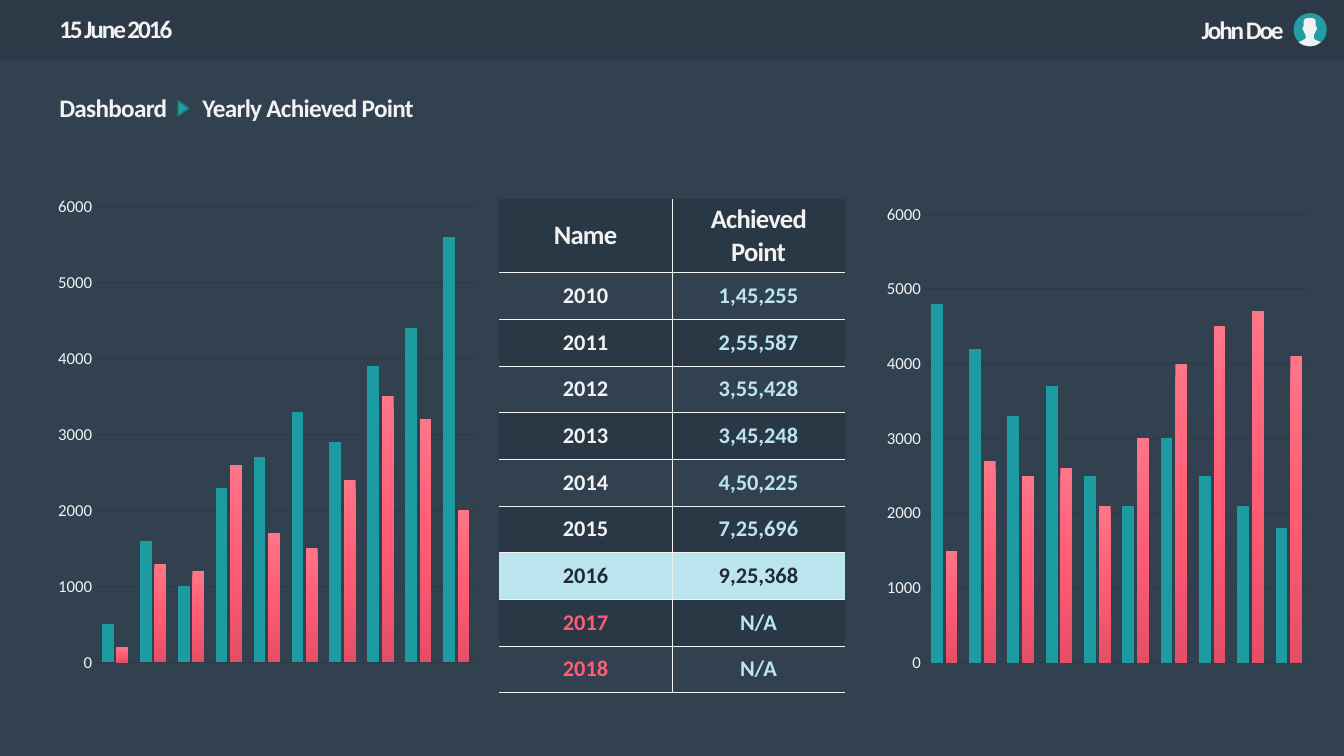
from dataclasses import dataclass
from lxml.etree import SubElement
from pptx import Presentation
from pptx.chart.data import CategoryChartData as ChartData
from pptx.dml.color import RGBColor as RGB
from pptx.enum.chart import XL_CHART_TYPE as Chart, XL_TICK_MARK as Tick
from pptx.enum.shapes import MSO_SHAPE as Shape
from pptx.enum.text import MSO_ANCHOR as Anchor, MSO_AUTO_SIZE as Fit, PP_ALIGN as Align
from pptx.oxml.ns import qn
from pptx.util import Inches, Pt


@dataclass(frozen=True)
class Theme:
    """Colours, font and type sizes of the slide."""
    font: str = "Calibri"
    back: str = "314150"
    band: str = "2C3A47"
    dark: str = "212B35"
    light: str = "F2F2F2"
    pale: str = "BBE6EF"
    teal: str = "239CA3"
    edge: str = "1A7379"
    bar: str = "1C9CA0"
    pink: str = "FF5C75"
    blush: tuple = ((0, "FF7588"), (50, "FF5C75"), (100, "E54F66"))
    title: int = 18
    head: int = 19
    body: int = 16
    axis: int = 12
    small: int = 10
    no_grid: str = "{2D5ABB26-0587-4C30-8999-92F81FD0307C}"


def add_color(parent, color):
    """Add a colour node to an XML parent."""
    return SubElement(parent, qn("a:srgbClr"), val=color)


class Board:
    """Draws themed elements on one slide."""

    def __init__(self, slide, theme):
        """Keep the slide and theme, and paint the background."""
        self.slide, self.theme = slide, theme
        fill = slide.background.fill
        fill.solid()
        fill.fore_color.rgb = RGB.from_string(theme.back)

    def style(self, font, size, color, bold=False, space=0):
        """Set face, size, colour, weight and letter spacing in points."""
        font.name, font.size, font.bold = self.theme.font, Pt(size), bold
        font.color.rgb = RGB.from_string(color)
        if space:
            font._rPr.set("spc", str(int(space * 100)))

    def paint(self, shape, color, edge=None):
        """Fill a shape, with a thin edge if one is given."""
        shape.shadow.inherit = False
        shape.fill.solid()
        shape.fill.fore_color.rgb = RGB.from_string(color)
        if edge:
            shape.line.color.rgb = RGB.from_string(edge)
            shape.line.width = Pt(1)
        else:
            shape.line.fill.background()

    def shape(self, kind, box, color, edge=None, turn=0):
        """Add a preset shape."""
        item = self.slide.shapes.add_shape(kind, *map(Inches, box))
        item.rotation = turn
        self.paint(item, color, edge)

    def outline(self, points, color):
        """Add a closed free shape through points in inches."""
        first, *rest = [(Inches(x), Inches(y)) for x, y in points]
        pen = self.slide.shapes.build_freeform(*first, scale=1.0)
        pen.add_line_segments(rest, close=True)
        self.paint(pen.convert_to_shape(), color)

    def text(self, words, box, space, align=Align.LEFT):
        """Add one line of bold title text."""
        frame = self.slide.shapes.add_textbox(*map(Inches, box)).text_frame
        frame.word_wrap, frame.auto_size = True, Fit.SHAPE_TO_FIT_TEXT
        line = frame.paragraphs[0]
        line.text, line.alignment = words, align
        self.style(line.font, self.theme.title, self.theme.light, True, space)

    def cell(self, cell, words, size, color, fill, alpha, sides, space=0):
        """Write, border and fill one table cell."""
        props = cell._tc.get_or_add_tcPr()
        for side in sides:
            line = SubElement(props, qn("a:ln" + side), w=str(Pt(0.25)))
            add_color(SubElement(line, qn("a:solidFill")), self.theme.light)
        if fill:
            cell.fill.solid()
            cell.fill.fore_color.rgb = RGB.from_string(fill)
            if alpha < 100:
                tint = props.find(".//" + qn("a:solidFill") + "[last()]")
                tint = props.find(qn("a:solidFill")).find(qn("a:srgbClr"))
                SubElement(tint, qn("a:alpha"), val=str(alpha * 1000))
        else:
            cell.fill.background()
        cell.vertical_anchor = Anchor.MIDDLE
        line = cell.text_frame.paragraphs[0]
        line.text, line.alignment = words, Align.CENTER
        self.style(line.font, size, color, True, space)

    def table(self, box, head, rows, top, mark):
        """Add a banded two-column table with one marked row."""
        t = self.theme
        grid = self.slide.shapes.add_table(len(rows) + 1, 2, *map(Inches, box)).table
        grid.horz_banding = False
        grid._tbl.tblPr.find(qn("a:tableStyleId")).text = t.no_grid
        grid.rows[0].height = Inches(top)
        for row in list(grid.rows)[1:]:
            row.height = Inches((box[3] - top) / len(rows))
        for col, words in enumerate(head):
            self.cell(grid.cell(0, col), words, t.head, t.light, t.dark, 40,
                      ("RB", "LB")[col], -0.5)
        for num, row in enumerate(rows, 1):
            year, points = row
            fill, alpha = (None, 100) if num % 2 else (t.dark, 40)
            inks = (t.pink if points == "N/A" else t.light, t.pale)
            if year == mark:
                fill, alpha, inks = t.pale, 100, (t.dark, t.dark)
            elif year > mark:
                fill, alpha = (t.dark, 40) if num % 2 == 0 else (None, 100)
            for col, words in enumerate(row):
                self.cell(grid.cell(num, col), words, t.body, inks[col],
                          fill, alpha, ("RTB", "LTB")[col])

    def chart(self, box, sets):
        """Add a clustered column chart with a flat and a shaded series."""
        t = self.theme
        data = ChartData()
        data.categories = [str(n) for n in range(1, len(sets[0]) + 1)]
        for num, vals in enumerate(sets, 1):
            data.add_series(f"Series {num}", vals)
        chart = self.slide.shapes.add_chart(
            Chart.COLUMN_CLUSTERED, *map(Inches, box), data).chart
        self.style(chart.font, t.small, t.band)
        chart.has_legend = chart.has_title = False
        chart.category_axis.visible = False
        axis = chart.value_axis
        axis.minimum_scale, axis.maximum_scale, axis.major_unit = 0, 6000, 1000
        axis.major_tick_mark = axis.minor_tick_mark = Tick.NONE
        axis.format.line.fill.background()
        self.style(axis.tick_labels.font, t.axis, t.light)
        rule = axis.major_gridlines.format.line
        rule.color.rgb, rule.width = RGB.from_string(t.band), Pt(0.75)
        plot = chart.plots[0]
        plot.gap_width, plot.overlap, plot.vary_by_categories = 100, -24, False
        flat, shaded = plot.series
        flat.format.fill.solid()
        flat.format.fill.fore_color.rgb = RGB.from_string(t.bar)
        blend = SubElement(shaded._element.get_or_add_spPr(), qn("a:gradFill"))
        stops = SubElement(blend, qn("a:gsLst"))
        for pos, color in t.blush:
            add_color(SubElement(stops, qn("a:gs"), pos=str(pos * 1000)), color)
        SubElement(blend, qn("a:lin"), ang=str(90 * 60000), scaled="0")


HEAD = ("Name", "Achieved Point")
ROWS = [("2010", "1,45,255"), ("2011", "2,55,587"), ("2012", "3,55,428"),
        ("2013", "3,45,248"), ("2014", "4,50,225"), ("2015", "7,25,696"),
        ("2016", "9,25,368"), ("2017", "N/A"), ("2018", "N/A")]
RISE = [(500, 1600, 1000, 2300, 2700, 3300, 2900, 3900, 4400, 5600),
        (200, 1300, 1200, 2600, 1700, 1500, 2400, 3500, 3200, 2000)]
FALL = [(4800, 4200, 3300, 3700, 2500, 2100, 3000, 2500, 2100, 1800),
        (1500, 2700, 2500, 2600, 2100, 3000, 4000, 4500, 4700, 4100)]
# Right half of the bust: offset from its centre line, then height
BUST = [(0, 0.18), (0.03, 0.18), (0.05, 0.19), (0.06, 0.21), (0.06, 0.26),
        (0.07, 0.27), (0.07, 0.29), (0.06, 0.31), (0.04, 0.35), (0.04, 0.38),
        (0.05, 0.39), (0.11, 0.42), (0.06, 0.45), (0, 0.46)]


def main():
    """Build the dashboard slide and save it."""
    deck = Presentation()
    deck.slide_width, deck.slide_height = Inches(13.33), Inches(7.5)
    theme = Theme()
    board = Board(deck.slides.add_slide(deck.slide_layouts[6]), theme)
    board.shape(Shape.ISOSCELES_TRIANGLE, (1.74, 1.02, 0.16, 0.11),
                theme.teal, theme.edge, 90)
    board.text("Dashboard", (0.49, 0.87, 1.36, 0.4), -0.5)
    board.text("Yearly Achieved Point", (1.91, 0.87, 2.52, 0.4), -0.5)
    board.table((4.95, 1.97, 3.43, 4.9), HEAD, ROWS, 0.73, "2016")
    board.chart((0.49, 1.85, 4.31, 4.92), RISE)
    board.chart((8.71, 1.93, 4.35, 4.84), FALL)
    board.shape(Shape.RECTANGLE, (0, 0, 13.33, 0.59), theme.band)
    board.text("John Doe", (10.8, 0.09, 2.03, 0.4), -1.5, Align.RIGHT)
    board.text("15 June 2016", (0.49, 0.08, 2.07, 0.4), -1.5)
    board.shape(Shape.OVAL, (12.83, 0.13, 0.33, 0.33), theme.teal)
    mid = 12.99
    board.outline([(mid + x, y) for x, y in BUST]
                  + [(mid - x, y) for x, y in BUST[-2:0:-1]], theme.light)
    deck.save("out.pptx")


main()
